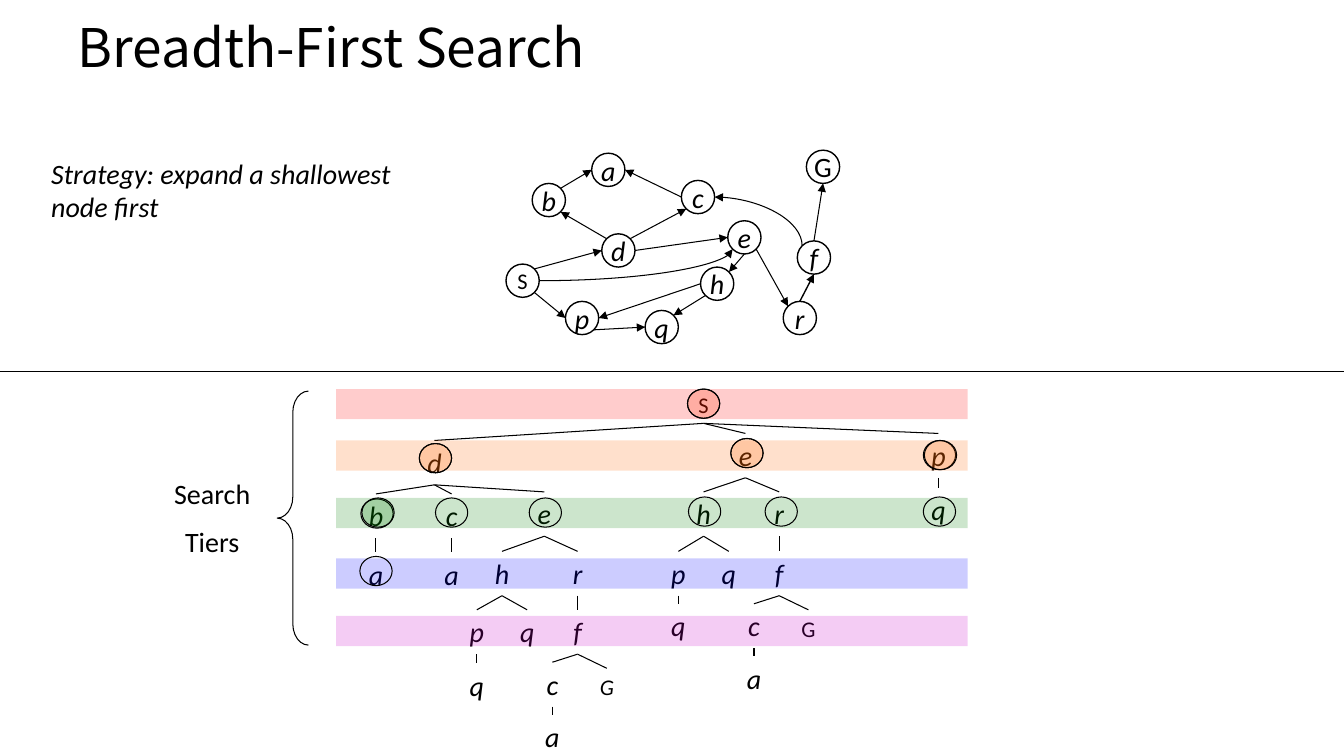
from dataclasses import dataclass

from lxml import etree
from pptx import Presentation
from pptx.dml.color import RGBColor
from pptx.enum.shapes import MSO_CONNECTOR, MSO_SHAPE
from pptx.enum.text import MSO_ANCHOR, PP_ALIGN
from pptx.oxml.ns import qn
from pptx.util import Inches, Pt

STRAIGHT = MSO_CONNECTOR.STRAIGHT
CURVE = MSO_CONNECTOR.CURVE
CIRCLE = MSO_SHAPE.FLOWCHART_CONNECTOR
OVAL = MSO_SHAPE.OVAL
RECTANGLE = MSO_SHAPE.RECTANGLE
LEFT_BRACE = MSO_SHAPE.LEFT_BRACE
LEFT, CENTER = PP_ALIGN.LEFT, PP_ALIGN.CENTER
TOP, MIDDLE = MSO_ANCHOR.TOP, MSO_ANCHOR.MIDDLE
BOTTOM_SITE, TOP_SITE = 2, 0

# Square grid: 133.33 columns by 75 rows
COLUMNS, ROWS = 133.33, 75
CELL = Inches(0.1)
BODY_FONT, TITLE_FONT = "Calibri", "Noto Sans CJK KR"
BLACK, RED, ORANGE, GREEN = "000000", "FF0000", "FF6600", "008000"
BLUE, PURPLE, SCARLET = "0000FF", "CC00CC", "FF3300"
NODE_SIZE = 3.3
RING_WIDTH, RING_HEIGHT = 3.2, 2.9
DIAGONAL = 0.71
COMPASS = {"N": (0, -1), "S": (0, 1), "W": (-1, 0), "E": (1, 0),
           "NW": (-DIAGONAL, -DIAGONAL), "NE": (DIAGONAL, -DIAGONAL),
           "SW": (-DIAGONAL, DIAGONAL), "SE": (DIAGONAL, DIAGONAL)}


@dataclass
class TreeNode:
    label: str
    center: float
    top: float
    children: tuple = ()
    italic: bool = True
    size: int = 20
    width: float = 4.2
    height: float = 4.4


@dataclass
class GraphNode:
    left: float
    top: float
    size: int = 20
    italic: bool = True

    def site(self, direction: str) -> tuple:
        radius = NODE_SIZE / 2
        across, down = COMPASS[direction]
        return self.left + radius * (1 + across), self.top + radius * (1 + down)


@dataclass
class Edge:
    start: str
    start_site: str
    end: str
    end_site: str
    kind: int = STRAIGHT
    arrow: str = "tailEnd"
    weight: float = 0.75


@dataclass
class Mark:
    left: float
    top: float
    color: str | None = None


def grid(*cells: float) -> list:
    return [round(cell * CELL) for cell in cells]


def rgb(color: str) -> RGBColor:
    return RGBColor.from_string(color)


def write(box, text: str, size: int, italic=False, align=CENTER, anchor=TOP,
          font=BODY_FONT, wrap=True) -> None:
    frame = box.text_frame
    frame.text = text
    frame.word_wrap = wrap
    frame.vertical_anchor = anchor
    for index, para in enumerate(frame.paragraphs):
        para.alignment = align
        if index:
            para.space_before = Pt(size / 2)
        for span in para.runs:
            span.font.name, span.font.size = font, Pt(size)
            span.font.italic = italic
            span.font.color.rgb = rgb(BLACK)


def add_text(page, area: tuple, text: str, size: int, **style):
    box = page.shapes.add_textbox(*grid(*area))
    write(box, text, size, **style)
    return box


def add_figure(page, kind, area: tuple, fill: str | None = None, weight: float = 0.75):
    figure = page.shapes.add_shape(kind, *grid(*area))
    figure.shadow.inherit = False
    if fill:
        figure.fill.solid()
        figure.fill.fore_color.rgb = rgb(fill)
        tint = figure.fill._xPr.find(".//" + qn("a:srgbClr"))
        etree.SubElement(tint, qn("a:alpha")).set("val", "20000")
    else:
        figure.fill.background()
    if weight:
        figure.line.color.rgb = rgb(BLACK)
        figure.line.width = Pt(weight)
    else:
        figure.line.fill.background()
    return figure


def add_line(page, start: tuple, end: tuple, kind=STRAIGHT, arrow="", weight=0.75):
    line = page.shapes.add_connector(kind, *grid(*start, *end))
    line.line.color.rgb = rgb(BLACK)
    line.line.width = Pt(weight)
    properties = line._element.spPr
    if arrow:
        etree.SubElement(properties.find(qn("a:ln")), qn("a:" + arrow)).set("type", "triangle")
    if kind == CURVE:
        properties.find(qn("a:prstGeom")).set("prst", "curvedConnector2")
    etree.SubElement(properties, qn("a:effectLst"))
    return line


def add_tree(page, node: TreeNode):
    area = (node.center - node.width / 2, node.top, node.width, node.height)
    box = add_text(page, area, node.label, node.size, italic=node.italic)
    for child in node.children:
        child_box = add_tree(page, child)
        line = add_line(page, (node.center, node.top + node.height), (child.center, child.top))
        line.begin_connect(box, BOTTOM_SITE)
        line.end_connect(child_box, TOP_SITE)
    return box


def goal(center: float, top: float, italic: bool) -> TreeNode:
    return TreeNode("G", center, top, (), italic, 16, 8.3, 3.7)


def f_branch(center: float, top: float, goal_italic: bool) -> TreeNode:
    below = top + 5.2
    tail = TreeNode("c", center - 2.5, below, (TreeNode("a", center - 2.5, below + 5.2),))
    return TreeNode("f", center, top, (tail, goal(center + 2.9, below + 0.6, goal_italic)))


# Search tree
E_UNDER_D = TreeNode("e", 54, 48.8, (
    TreeNode("h", 49.8, 54.7, (
        TreeNode("p", 47.3, 60.5, (TreeNode("q", 47.3, 65.8),)),
        TreeNode("q", 52.3, 60.5))),
    TreeNode("r", 57.3, 54.7, (f_branch(57.3, 60.5, True),))))
D_BRANCH = TreeNode("d", 43.1, 43.7, (
    TreeNode("b", 37.3, 49, (TreeNode("a", 37.3, 54.8),)),
    TreeNode("c", 44.8, 49, (TreeNode("a", 44.8, 54.8),)),
    E_UNDER_D))
E_BRANCH = TreeNode("e", 73.95, 43, (
    TreeNode("h", 69.8, 48.8, (
        TreeNode("p", 67.3, 54.7, (TreeNode("q", 67.3, 59.9),)),
        TreeNode("q", 72.3, 54.7))),
    TreeNode("r", 77.3, 48.8, (f_branch(77.3, 54.7, False),))))
P_BRANCH = TreeNode("p", 93.1, 43, (TreeNode("q", 93.1, 48.4),))
TREE = TreeNode("S", 69.8, 38.3, (D_BRANCH, E_BRANCH, P_BRANCH), False, 16, 10.8, 3.7)

# State graph
GRAPH = {
    "S": GraphNode(50.2, 26.2, 16, False), "G": GraphNode(80, 14.9, 20, False),
    "d": GraphNode(59.7, 23.2), "b": GraphNode(52.8, 18.2), "p": GraphNode(56.1, 29.9),
    "q": GraphNode(64, 30.8), "c": GraphNode(67.6, 17.9), "e": GraphNode(72.2, 21.9),
    "h": GraphNode(69.5, 26.5), "a": GraphNode(58.7, 15.2), "f": GraphNode(79.1, 23.9),
    "r": GraphNode(77.7, 29.9)}
EDGES = [
    Edge("S", "SE", "p", "W"), Edge("p", "SE", "q", "W"), Edge("h", "SW", "q", "NE"),
    Edge("h", "W", "p", "E"), Edge("e", "S", "h", "NE"), Edge("e", "SE", "r", "NW"),
    Edge("r", "N", "f", "S", weight=1), Edge("f", "N", "G", "S"), Edge("S", "NE", "d", "W"),
    Edge("d", "NW", "b", "SE"), Edge("b", "NE", "a", "W"), Edge("c", "W", "a", "E"),
    Edge("d", "NE", "c", "SW"), Edge("d", "E", "e", "W"),
    Edge("c", "E", "f", "NW", CURVE, "headEnd"), Edge("S", "E", "e", "SW", CURVE)]

# Tiers, and the rings and tinted discs of the nodes reached
TIERS = [(38.6, RED), (43.7, ORANGE), (49.4, GREEN), (55.4, BLUE), (61.1, PURPLE)]
MARKS = [
    Mark(68.2, 38.6, SCARLET), Mark(68.2, 38.6), Mark(41.6, 44), Mark(72.5, 43.5),
    Mark(91.6, 43.7), Mark(35.8, 49.5), Mark(43.2, 49.4), Mark(52.5, 49.4),
    Mark(68.3, 49.3), Mark(75.9, 49.3), Mark(91.6, 49.3), Mark(35.7, 55.2),
    Mark(41.6, 44, ORANGE), Mark(72.5, 43.5, ORANGE), Mark(91.7, 43.7, ORANGE),
    Mark(35.9, 49.4, GREEN)]


def main() -> None:
    deck = Presentation()
    deck.slide_width, deck.slide_height = grid(COLUMNS, ROWS)
    page = deck.slides.add_slide(deck.slide_layouts[6])

    add_text(page, (6.7, 0.2, 120, 8.7), "Breadth-First Search", 38,
             align=LEFT, anchor=MIDDLE, font=TITLE_FONT)
    add_tree(page, TREE)

    for label, node in GRAPH.items():
        circle = add_figure(page, CIRCLE, (node.left, node.top, NODE_SIZE, NODE_SIZE), weight=1)
        write(circle, label, node.size, italic=node.italic, anchor=MIDDLE, wrap=False)
    for edge in EDGES:
        add_line(page, GRAPH[edge.start].site(edge.start_site),
                 GRAPH[edge.end].site(edge.end_site), edge.kind, edge.arrow, edge.weight)

    for top, color in TIERS:
        add_figure(page, RECTANGLE, (33.35, top, 62.65, 3), color, weight=0)
    brace = add_figure(page, LEFT_BRACE, (27.5, 38.8, 3.1, 25.2))
    brace.adjustments[0] = 0.68
    add_text(page, (15.8, 46.8, 10.5, 9.4), "Search\nTiers", 20)
    for mark in MARKS:
        add_figure(page, OVAL, (mark.left, mark.top, RING_WIDTH, RING_HEIGHT), mark.color)

    add_line(page, (0, 36.9), (COLUMNS, 36.9))
    add_text(page, (4.1, 15, 40.4, 7.7), "Strategy: expand a shallowest node first", 20,
             italic=True, align=LEFT)
    deck.save("out.pptx")


if __name__ == "__main__":
    main()
